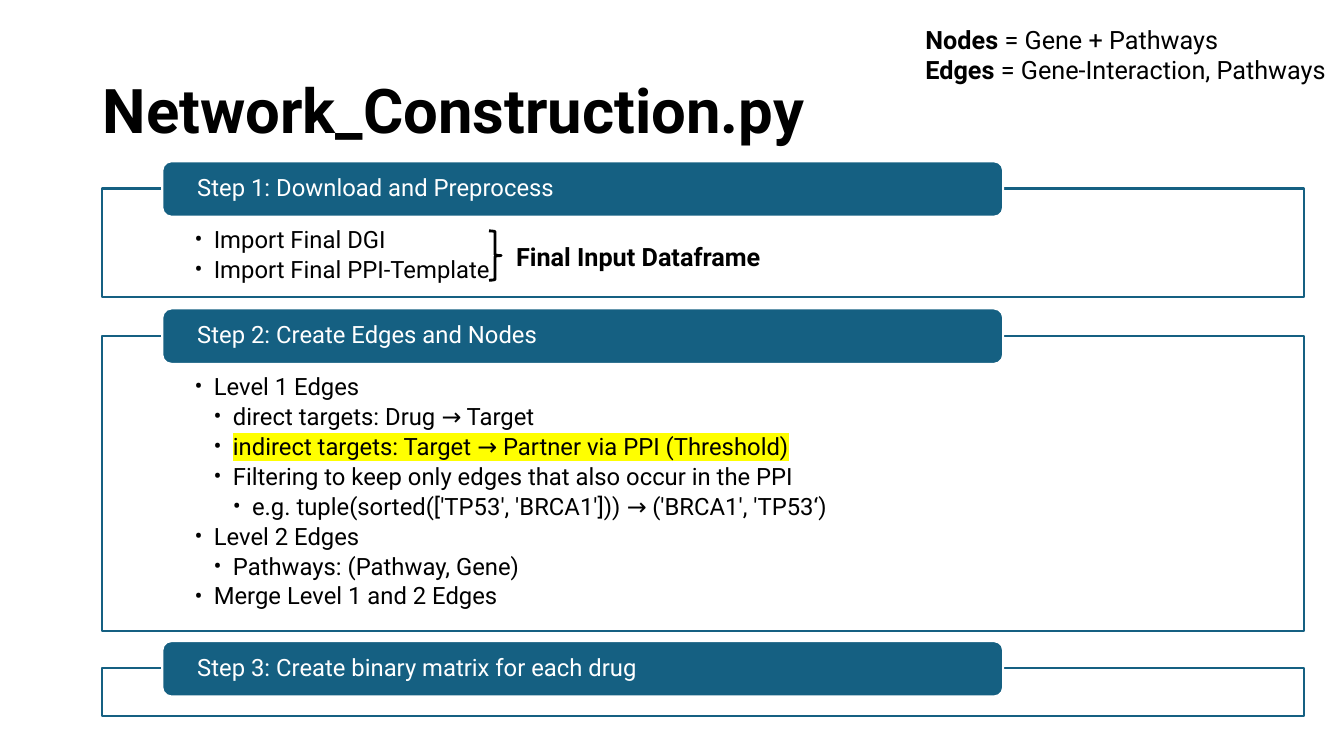
from lxml import etree
from pptx import Presentation
from pptx.dml.color import RGBColor
from pptx.enum.shapes import MSO_SHAPE
from pptx.enum.text import MSO_ANCHOR, MSO_AUTO_SIZE, PP_ALIGN
from pptx.oxml.ns import qn
from pptx.util import Inches, Pt

RECTANGLE = MSO_SHAPE.RECTANGLE
ROUNDED = MSO_SHAPE.ROUNDED_RECTANGLE
BRACE = MSO_SHAPE.RIGHT_BRACE
MIDDLE, TOP = MSO_ANCHOR.MIDDLE, MSO_ANCHOR.TOP
LEFT = PP_ALIGN.LEFT
NO_AUTOFIT = MSO_AUTO_SIZE.NONE

FONT = "Roboto"
COLORS = {"blue": "156082", "white": "FFFFFF", "black": "000000", "yellow": "FFFF00"}
INDENT = 0.19


def add_run(paragraph, text, size, color="black", bold=False, highlight=None):
    run = paragraph.add_run()
    run.text = text
    run.font.size = Pt(size)
    run.font.bold = bold
    run.font.color.rgb = RGBColor.from_string(COLORS[color])
    run.font.name = FONT
    if highlight:
        mark = etree.Element(qn("a:highlight"))
        etree.SubElement(mark, qn("a:srgbClr"), val=COLORS[highlight])
        run.font._element.find(qn("a:latin")).addprevious(mark)


def style_box(shape, fill, line):
    shape.fill.solid()
    shape.fill.fore_color.rgb = RGBColor.from_string(COLORS[fill])
    shape.line.color.rgb = RGBColor.from_string(COLORS[line])
    shape.line.width = Pt(1.5)
    shape.shadow.inherit = False


presentation = Presentation()
presentation.slide_width = Inches(13.33)
presentation.slide_height = Inches(7.5)
slide = presentation.slides.add_slide(presentation.slide_layouts[3])
shapes = slide.shapes

# Title
title = shapes.title
title.left, title.top = Inches(0.92), Inches(0.4)
title.width, title.height = Inches(11.5), Inches(1.45)
title.text_frame.auto_size = NO_AUTOFIT
title.text_frame.vertical_anchor = MIDDLE
paragraph = title.text_frame.paragraphs[0]
paragraph.alignment = LEFT
paragraph.line_spacing = 0.9
add_run(paragraph, "Network_Construction.py", 44, bold=True)

# Steps: heading, frame top, frame height, list of (level, text, highlight)
steps = [
    ("Step 1: Download and Preprocess", 1.87, 1.08, [
        (1, "Import Final DGI", None),
        (1, "Import Final PPI-Template", None),
    ]),
    ("Step 2: Create Edges and Nodes", 3.33, 2.93, [
        (1, "Level 1 Edges", None),
        (2, "direct targets: Drug → Target", None),
        (2, "indirect targets: Target → Partner via PPI (Threshold)", "yellow"),
        (2, "Filtering to keep only edges that also occur in the PPI", None),
        (3, "e.g. tuple(sorted(['TP53', 'BRCA1'])) → ('BRCA1', 'TP53‘)", None),
        (1, "Level 2 Edges", None),
        (2, "Pathways: (Pathway, Gene)", None),
        (1, "Merge Level 1 and 2 Edges", None),
    ]),
    ("Step 3: Create binary matrix for each drug", 6.63, 0.47, []),
]
bodies = [slide.placeholders[1], slide.placeholders[2]]

for number, (heading, top, height, items) in enumerate(steps):
    # Frame, with its list when the step has one
    if items:
        frame = bodies[number]
        frame.left, frame.top = Inches(1.01), Inches(top)
        frame.width, frame.height = Inches(11.92), Inches(height)
        text_frame = frame.text_frame
        text_frame.auto_size = NO_AUTOFIT
        text_frame.vertical_anchor = TOP
        text_frame.margin_left = text_frame.margin_right = Inches(0.92)
        text_frame.margin_top, text_frame.margin_bottom = Inches(0.39), Inches(0.13)
    else:
        frame = shapes.add_shape(RECTANGLE, Inches(1.01), Inches(top),
                                 Inches(11.92), Inches(height))
    style_box(frame, "white", "blue")

    for index, (level, text, highlight) in enumerate(items):
        paragraph = text_frame.add_paragraph() if index else text_frame.paragraphs[0]
        paragraph.level = level
        paragraph.alignment = LEFT
        paragraph.line_spacing = 0.9
        paragraph.space_before = Pt(0)
        paragraph.space_after = Pt(3)
        properties = paragraph._p.get_or_add_pPr()
        properties.set("marL", str(Inches(INDENT * level)))
        properties.set("indent", str(-Inches(INDENT)))
        etree.SubElement(properties, qn("a:buFont"), typeface=FONT)
        etree.SubElement(properties, qn("a:buChar"), char="•")
        add_run(paragraph, text, 17, highlight=highlight)

    # Heading bar over the frame's top edge
    bar = shapes.add_shape(ROUNDED, Inches(1.61), Inches(top - 0.27),
                           Inches(8.34), Inches(0.55))
    style_box(bar, "blue", "white")
    bar.text_frame.margin_left = bar.text_frame.margin_right = Inches(0.32)
    bar.text_frame.margin_top = bar.text_frame.margin_bottom = 0
    bar.text_frame.vertical_anchor = MIDDLE
    paragraph = bar.text_frame.paragraphs[0]
    paragraph.alignment = LEFT
    paragraph.line_spacing = 0.9
    add_run(paragraph, heading, 17, "white")

# Brace joining the two imports
brace = shapes.add_shape(BRACE, Inches(4.85), Inches(2.29), Inches(0.12), Inches(0.49))
brace.fill.background()
brace.line.color.rgb = RGBColor.from_string(COLORS["black"])
brace.line.width = Pt(2)
brace.shadow.inherit = False

# Notes beside the brace and at the top right: box, lines of (text, bold) runs
labels = [
    ((5.02, 2.34, 3.35, 0.4), [[("Final Input Dataframe", True)]]),
    ((9.08, 0.19, 4.25, 0.71), [
        [("Nodes", True), (" = Gene + Pathways", False)],
        [("Edges", True), (" = Gene-Interaction, Pathways", False)],
    ]),
]
for box, lines in labels:
    label = shapes.add_textbox(*[Inches(length) for length in box])
    label.text_frame.word_wrap = True
    for index, line in enumerate(lines):
        paragraph = label.text_frame.add_paragraph() if index else label.text_frame.paragraphs[0]
        for text, bold in line:
            add_run(paragraph, text, 18, bold=bold)

presentation.save("out.pptx")
